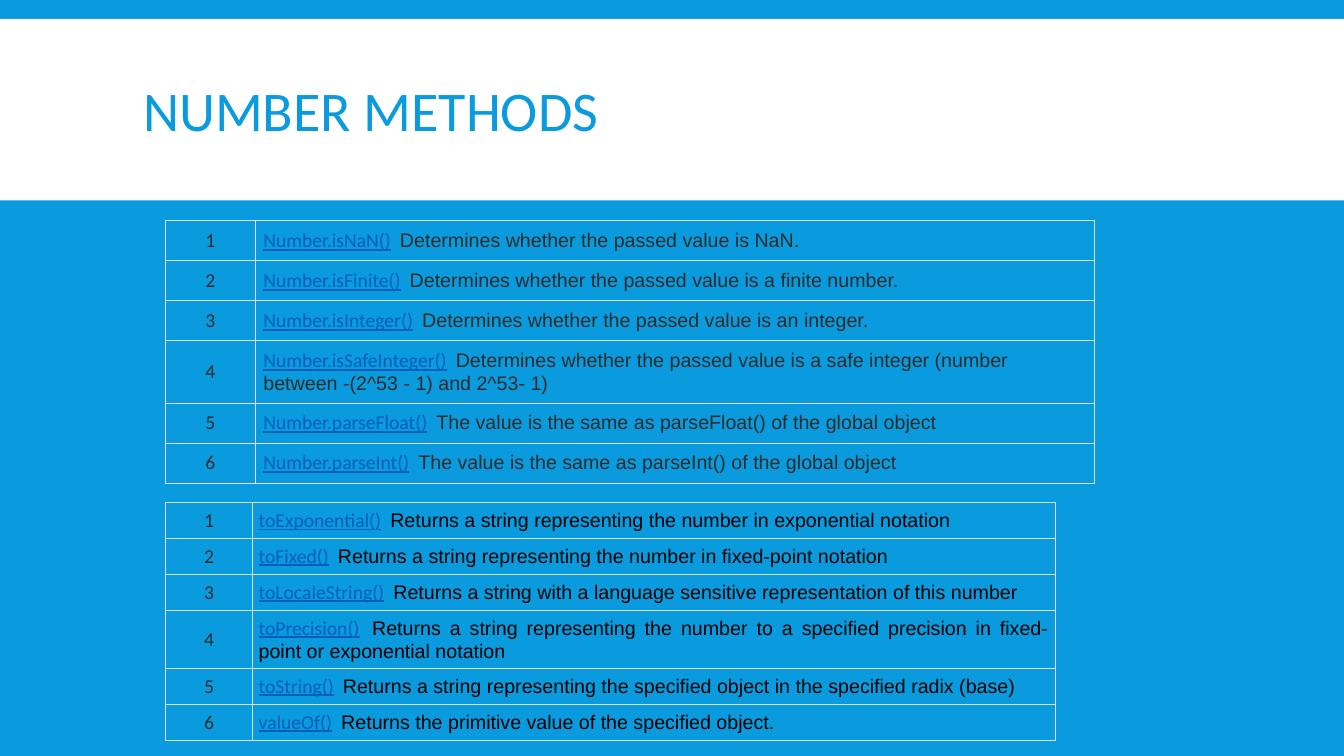
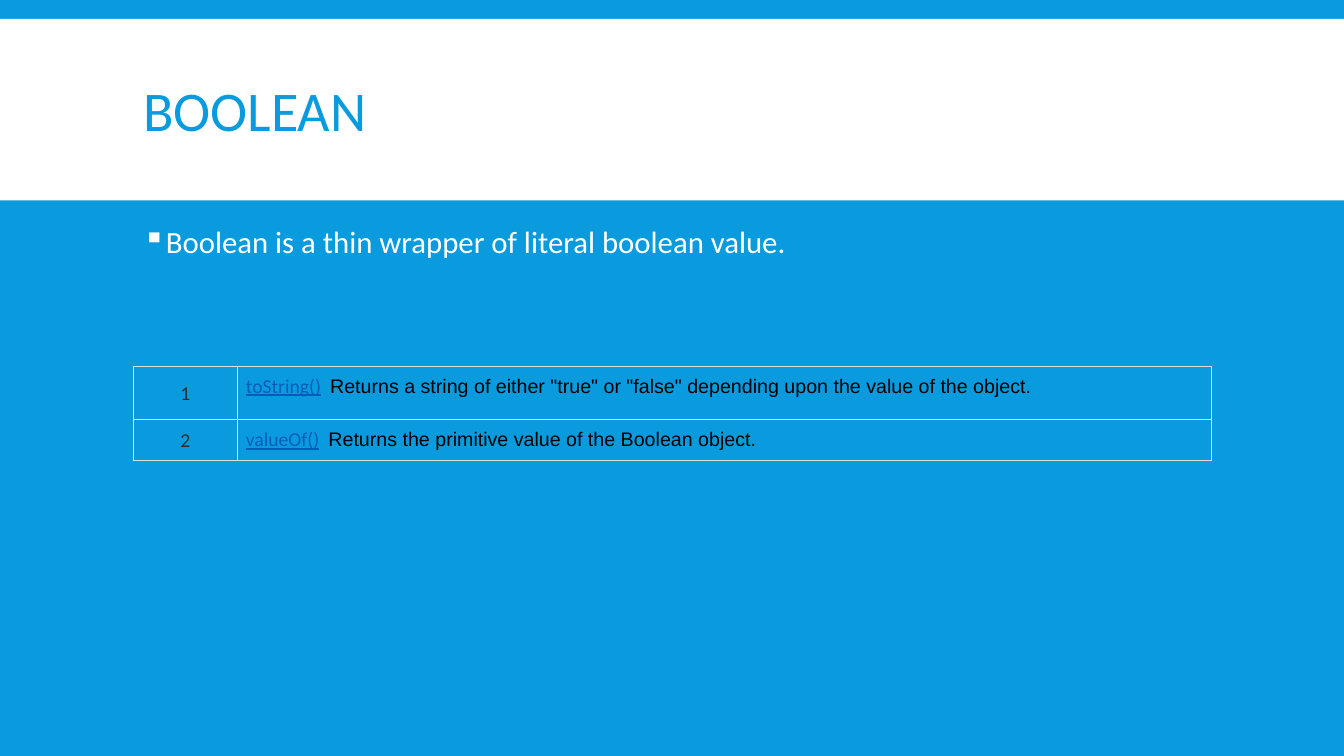
from lxml.etree import SubElement
from pptx import Presentation
from pptx.dml.color import RGBColor
from pptx.enum.shapes import MSO_SHAPE
from pptx.enum.text import MSO_ANCHOR, PP_ALIGN
from pptx.oxml import parse_xml
from pptx.oxml.ns import nsdecls, qn
from pptx.util import Inches, Pt

COLORS = {
    "blue": "099BDD",
    "white": "FFFFFF",
    "border": "DDDDDD",
    "ink": "2C2C2C",
    "black": "000000",
    "method": "005DBA",
}
HEADING_FONT, DETAIL_FONT = "Calibri", "Arial"
MARGIN, CONTENT_WIDTH = 9.9, 80.25


def color(name):
    """Return the named palette colour."""
    return RGBColor.from_string(COLORS[name])


class Deck:
    """Holds the shared style and the current slide; lengths are percent of the slide."""

    def __init__(self):
        """Start a widescreen presentation with a blue background."""
        self.prs = Presentation()
        self.prs.slide_width, self.prs.slide_height = Inches(13.33), Inches(7.5)
        self.layout = self.prs.slide_layouts[5]
        background = self.layout.background.fill
        background.solid()
        background.fore_color.rgb = color("blue")
        self.slide = None

    def across(self, percent):
        """Convert a share of the slide's width."""
        return round(self.prs.slide_width * percent / 100)

    def down(self, percent):
        """Convert a share of the slide's height."""
        return round(self.prs.slide_height * percent / 100)

    def box(self, left, top, width, height):
        """Convert a frame given in percent."""
        return self.across(left), self.down(top), self.across(width), self.down(height)

    def run(self, paragraph, text, size, ink, font=HEADING_FONT, underline=None):
        """Add one formatted run."""
        run = paragraph.add_run()
        run.text = text
        run.font.size, run.font.name = Pt(size), font
        run.font.color.rgb = color(ink)
        run.font.underline = underline
        return run

    def title_band(self):
        """Put the white title band on the layout, behind every slide's title."""
        band = self.slide.shapes.add_shape(MSO_SHAPE.RECTANGLE, *self.box(0, 2.5, 100, 24))
        band.shadow.inherit = False
        band.fill.solid()
        band.fill.fore_color.rgb = color("white")
        band.line.fill.background()
        self.layout.shapes.element.insert(2, band.element)

    def new_slide(self, heading):
        """Add a slide with its title."""
        first = self.slide is None
        self.slide = self.prs.slides.add_slide(self.layout)
        if first:
            self.title_band()
        title = self.slide.shapes.title
        title.left, title.top, title.width, title.height = self.box(MARGIN, 4.13, CONTENT_WIDTH, 22)
        title.text_frame.vertical_anchor = MSO_ANCHOR.MIDDLE
        paragraph = title.text_frame.paragraphs[0]
        paragraph.alignment, paragraph.line_spacing = PP_ALIGN.LEFT, 0.85
        self.run(paragraph, heading, 40, "blue")

    def bullet(self, text, top, height):
        """Add a white bulleted statement."""
        statement = self.slide.shapes.add_textbox(*self.box(MARGIN, top, CONTENT_WIDTH, height))
        statement.text_frame.word_wrap = True
        paragraph = statement.text_frame.paragraphs[0]
        paragraph.line_spacing = 0.9
        paragraph.space_before, paragraph.space_after = Pt(12), Pt(2)
        self.run(paragraph, text, 22, "white")
        properties = paragraph._p.get_or_add_pPr()
        properties.set("marL", str(Inches(0.2)))
        properties.set("indent", str(-Inches(0.2)))
        SubElement(properties, qn("a:buChar"), char="▪")

    def borders(self, cell):
        """Draw thin light lines on all four sides of a cell."""
        properties = cell._tc.get_or_add_tcPr()
        for place, side in enumerate(("lnL", "lnR", "lnT", "lnB")):
            properties.insert(place, parse_xml(
                f'<a:{side} {nsdecls("a")} w="{Pt(0.75)}"><a:solidFill>'
                f'<a:srgbClr val="{COLORS["border"]}"/></a:solidFill></a:{side}>'))

    def method_table(self, methods, left, top, columns, rows, inset=0.08,
                     ink="black", align=PP_ALIGN.JUSTIFY):
        """Add a numbered table of (method, description) pairs."""
        frame = self.slide.shapes.add_table(
            len(methods), 2, *self.box(left, top, sum(columns), sum(rows)))
        table = frame.table
        table.first_row = table.horz_banding = False
        for column, width in zip(table.columns, columns):
            column.width = self.across(width)
        for number, (row, height, (method, detail)) in enumerate(
                zip(table.rows, rows, methods), 1):
            row.height = self.down(height)
            for cell in row.cells:
                cell.fill.background()
                self.borders(cell)
                cell.margin_left = cell.margin_right = Inches(inset)
                cell.margin_top = cell.margin_bottom = Inches(inset)
            index_cell, method_cell = row.cells
            index_cell.vertical_anchor = MSO_ANCHOR.MIDDLE
            index = index_cell.text_frame.paragraphs[0]
            index.alignment = PP_ALIGN.CENTER
            self.run(index, str(number), 14, "ink")
            entry = method_cell.text_frame.paragraphs[0]
            entry.alignment = align
            self.run(entry, method, 14, "method", underline=True)
            gap = self.run(entry, " ", 14, ink)
            gap._r.get_or_add_rPr().set("spc", "320")
            self.run(entry, detail, 14, ink, DETAIL_FONT)


def number_slide(deck):
    """Build the slide on the methods of Number."""
    deck.new_slide("NUMBER METHODS")
    checks = "Determines whether the passed value is "
    same = "The value is the same as "
    deck.method_table([
        ("Number.isNaN()", checks + "NaN."),
        ("Number.isFinite()", checks + "a finite number."),
        ("Number.isInteger()", checks + "an integer."),
        ("Number.isSafeInteger()",
         checks + "a safe integer (number between -(2^53 - 1) and 2^53- 1)"),
        ("Number.parseFloat()", same + "parseFloat() of the global object"),
        ("Number.parseInt()", same + "parseInt() of the global object"),
    ], 12.3, 29.2, (6.7, 62.4), [5.2] * 3 + [8.25] + [5.2] * 2,
        ink="ink", align=PP_ALIGN.LEFT)
    returns = "Returns a string representing the "
    deck.method_table([
        ("toExponential()", returns + "number in exponential notation"),
        ("toFixed()", returns + "number in fixed-point notation"),
        ("toLocaleString()",
         "Returns a string with a language sensitive representation of this number"),
        ("toPrecision()",
         returns + "number to a specified precision in fixed-point or exponential notation"),
        ("toString()", returns + "specified object in the specified radix (base)"),
        ("valueOf()", "Returns the primitive value of the specified object."),
    ], 12.3, 66.5, (6.5, 59.7), [4.7] * 3 + [7.6] + [4.7] * 2, inset=0.06)


def boolean_slide(deck):
    """Build the slide on Boolean."""
    deck.new_slide("BOOLEAN")
    deck.bullet("Boolean is a thin wrapper of literal boolean value.", 29.3, 16)
    deck.method_table([
        ("toString()", 'Returns a string of either "true" or "false" '
                       "depending upon the value of the object."),
        ("valueOf()", "Returns the primitive value of the Boolean object."),
    ], MARGIN, 48.5, (7.8, 72.45), (7.05, 5.4))


deck = Deck()
number_slide(deck)
boolean_slide(deck)
deck.prs.save("out.pptx")
